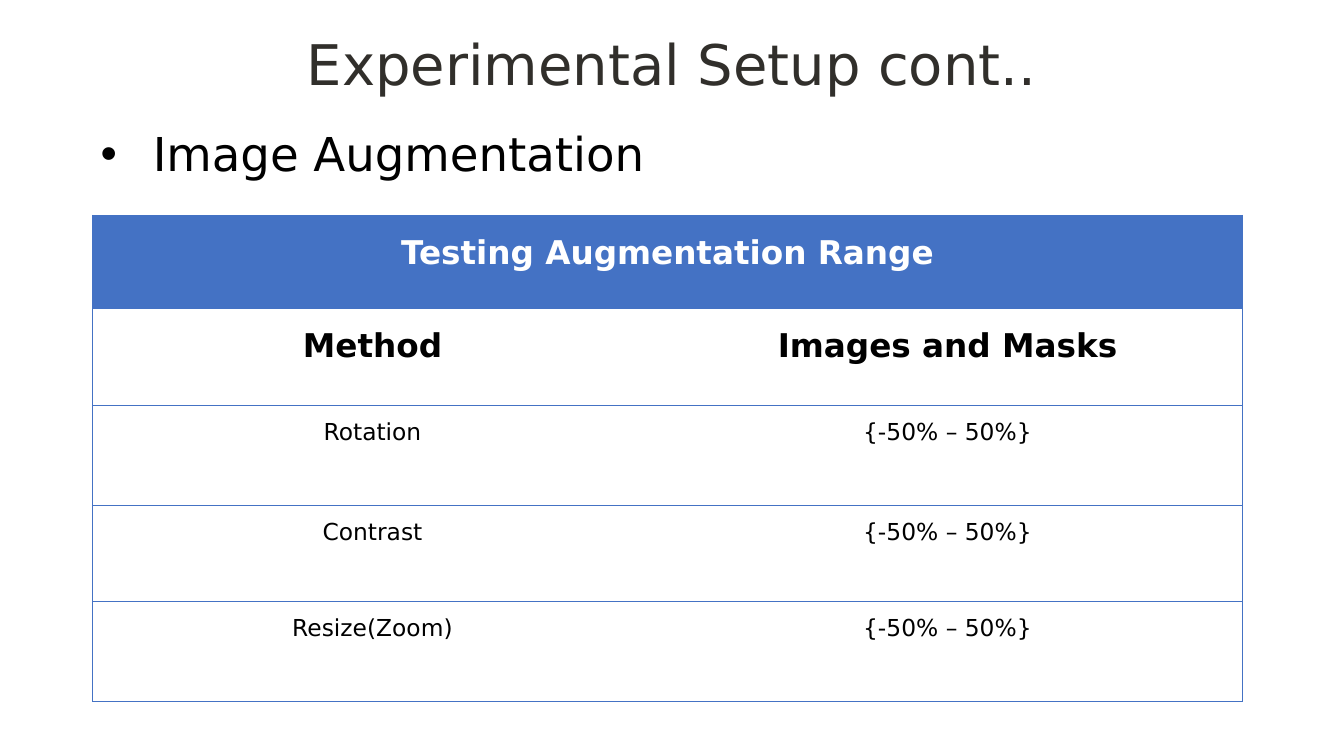
import pptx
import pptx.dml.color
import pptx.enum.text
import pptx.oxml
import pptx.oxml.ns
import pptx.util
from lxml import etree

Inches = pptx.util.Inches
Pt = pptx.util.Pt
RGBColor = pptx.dml.color.RGBColor
CENTER = pptx.enum.text.PP_ALIGN.CENTER
TOP = pptx.enum.text.MSO_ANCHOR.TOP
NO_FIT = pptx.enum.text.MSO_AUTO_SIZE.NONE
qn = pptx.oxml.ns.qn

FONT = "DejaVu Sans"
BLUE = RGBColor(0x44, 0x72, 0xC4)
WHITE = RGBColor(0xFF, 0xFF, 0xFF)
BLACK = RGBColor(0, 0, 0)
CHARCOAL = RGBColor(0x31, 0x2F, 0x2B)

COLUMN_WIDTHS = [6.67, 7.02]
ROW_HEIGHTS = [1.11, 1.15, 1.19, 1.15, 1.19]
ROWS = [
    ["Testing Augmentation Range", ""],
    ["Method", "Images and Masks"],
    ["Rotation", "{-50% – 50%}"],
    ["Contrast", "{-50% – 50%}"],
    ["Resize(Zoom)", "{-50% – 50%}"],
]


def style_runs(para, size, color, bold=False):
    for run in para.runs:
        run.font.name = FONT
        run.font.size = Pt(size)
        run.font.bold = bold
        run.font.color.rgb = color


def place(shape, box):
    shape.left, shape.top, shape.width, shape.height = map(Inches, box)


def add_title(page, box, text):
    title = page.shapes.title
    place(title, box)
    frame = title.text_frame
    frame.text = text
    frame.auto_size = NO_FIT
    frame.vertical_anchor = TOP
    frame.margin_top = Inches(0.07)
    frame.margin_bottom = 0
    para = frame.paragraphs[0]
    para.alignment = CENTER
    para.line_spacing = Pt(77.9)
    para.space_before = Pt(0)
    style_runs(para, 48, CHARCOAL)


def add_bullet(page, box, text):
    frame = page.shapes.add_textbox(*map(Inches, box)).text_frame
    frame.word_wrap = True
    frame.text = text
    para = frame.paragraphs[0]
    properties = para._p.get_or_add_pPr()
    properties.set("marL", str(Inches(0.62)))
    properties.set("indent", str(-Inches(0.62)))
    etree.SubElement(properties, qn("a:buFont")).set("typeface", "Arial")
    etree.SubElement(properties, qn("a:buChar")).set("char", "•")
    style_runs(para, 40, BLACK)


def set_borders(cell, visible):
    """Draw the named sides in blue and clear the others."""
    properties = cell._tc.get_or_add_tcPr()
    for position, side in enumerate("LRTB"):
        line = etree.Element(qn("a:ln" + side), w=str(Pt(0.5)))
        properties.insert(position, line)
        if side in visible:
            fill = etree.SubElement(line, qn("a:solidFill"))
            etree.SubElement(fill, qn("a:srgbClr")).set("val", str(BLUE))
        else:
            etree.SubElement(line, qn("a:noFill"))


def format_cell(cell, text, row):
    header = row == 0
    cell.margin_left = cell.margin_right = Inches(0.07)
    cell.margin_top = cell.margin_bottom = 0
    cell.vertical_anchor = TOP
    cell.fill.solid()
    cell.fill.fore_color.rgb = BLUE if header else WHITE
    cell.text_frame.text = text
    para = cell.text_frame.paragraphs[0]
    para.alignment = CENTER
    para.line_spacing = 1.5
    para.space_after = Pt(0 if header else 8)
    style_runs(para, 28 if row < 2 else 20, WHITE if header else BLACK, row < 2)


def add_range_table(page, box):
    table = page.shapes.add_table(
        len(ROWS), len(COLUMN_WIDTHS), *map(Inches, box)).table
    table.horz_banding = False
    for column, width in zip(table.columns, COLUMN_WIDTHS):
        column.width = Inches(width)
    for row, height in zip(table.rows, ROW_HEIGHTS):
        row.height = Inches(height)

    # The header spans both columns
    table.cell(0, 0).merge(table.cell(0, 1))
    for row, texts in enumerate(ROWS):
        for column, text in enumerate(texts):
            cell = table.cell(row, column)
            if not cell.is_spanned:
                format_cell(cell, text, row)
            set_borders(cell, "LRTB" if cell.is_merge_origin
                        else "LTB" if column == 0 else "RTB")


def main():
    deck = pptx.Presentation()
    deck.slide_width, deck.slide_height = Inches(16), Inches(9)
    page = deck.slides.add_slide(deck.slide_layouts[5])
    left = 1.1
    add_title(page, (0, 0, 16, 1.08), "Experimental Setup cont..")
    add_bullet(page, (left, 1.44, 6.78, 0.77), "Image Augmentation")
    add_range_table(page, (left, 2.56, sum(COLUMN_WIDTHS), sum(ROW_HEIGHTS)))
    deck.save("out.pptx")


if __name__ == "__main__":
    main()
